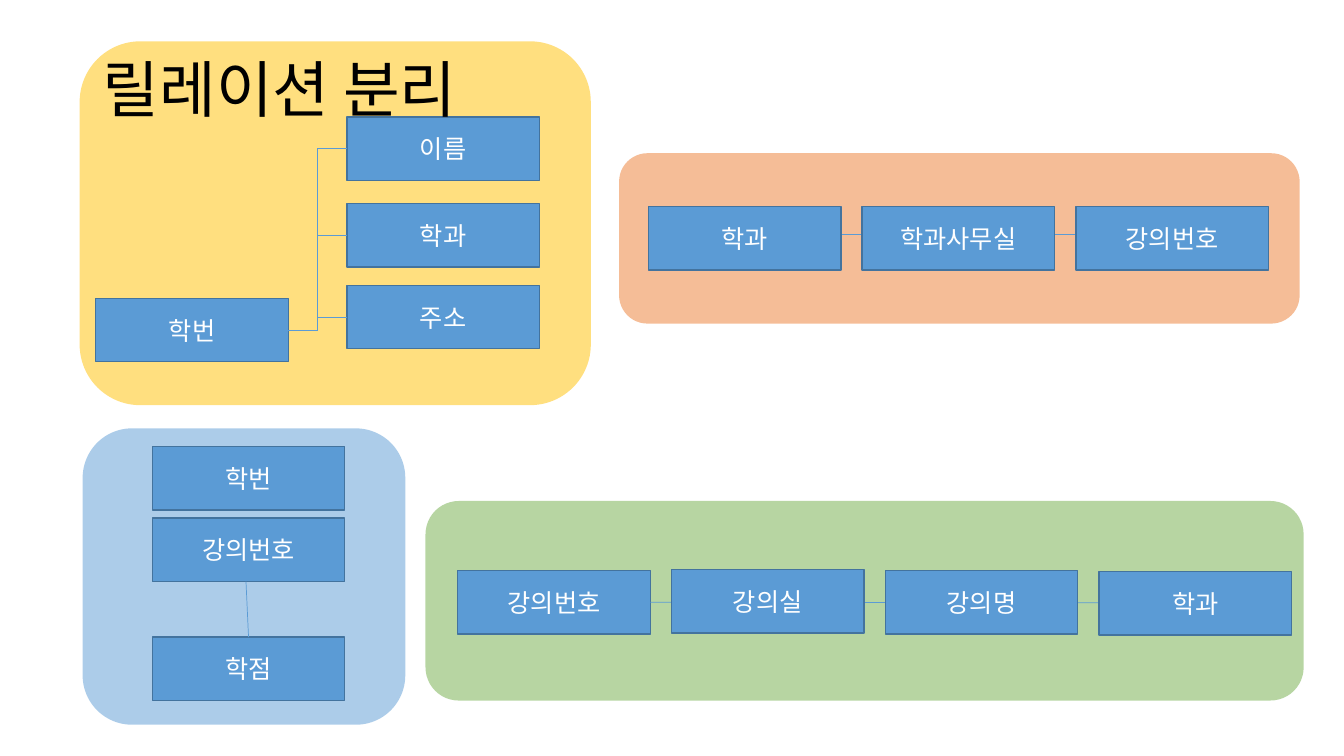
from lxml import etree
from pptx import Presentation
from pptx import util as u
from pptx.dml.color import RGBColor
from pptx.enum import shapes, text
from pptx.oxml.ns import qn

COLORS = {"blue": "5B9BD5", "green": "70AD47", "orange": "ED7D31",
          "yellow": "FFC000", "edge": "43739E", "white": "FFFFFF", "black": "000000"}
FONT = "Noto Sans CJK KR"
BOX_SIZE = (1.91, 0.63)
COLUMN_STEP = 2.12
TOP, LEFT, BOTTOM, RIGHT = 0, 1, 2, 3


def color(name):
    return RGBColor.from_string(COLORS[name])


def write(shape, words, size, ink, align):
    frame = shape.text_frame
    for name, value in {"word_wrap": True,
                        "vertical_anchor": text.MSO_ANCHOR.MIDDLE}.items():
        setattr(frame, name, value)
    para = frame.paragraphs[0]
    para.alignment = align
    span = para.add_run()
    span.text = words
    for name, value in {"size": u.Pt(size), "name": FONT}.items():
        setattr(span.font, name, value)
    span.font.color.rgb = color(ink)
    etree.SubElement(span.font._element, qn("a:ea")).set("typeface", FONT)
    return para


def add_filled(page, kind, bounds, fill):
    shape = page.shapes.add_shape(kind, *map(u.Inches, bounds))
    shape.shadow.inherit = False
    shape.fill.solid()
    shape.fill.fore_color.rgb = color(fill)
    return shape


def add_panel(page, bounds, fill):
    """Add a half-transparent rounded area behind one relation."""
    panel = add_filled(page, shapes.MSO_SHAPE.ROUNDED_RECTANGLE, bounds, fill)
    panel.line.fill.background()
    tint = panel._element.spPr.find(qn("a:solidFill"))[0]
    etree.SubElement(tint, qn("a:alpha")).set("val", "50000")


def add_attribute(page, words, left, top):
    box = add_filled(page, shapes.MSO_SHAPE.RECTANGLE, (left, top, *BOX_SIZE), "blue")
    box.line.color.rgb = color("edge")
    box.line.width = u.Pt(1)
    write(box, words, 18, "white", text.PP_ALIGN.CENTER)
    return box


def add_link(page, start, end, kind=shapes.MSO_CONNECTOR.STRAIGHT):
    link = page.shapes.add_connector(kind, *map(u.Inches, (*start, *end)))
    link.line.color.rgb = color("blue")
    link.line.width = u.Pt(0.5)
    etree.SubElement(link._element.spPr, qn("a:effectLst"))
    return link


def add_student(page):
    key = add_attribute(page, "학번", 0.95, 2.96)
    for words, top in (("주소", 2.83), ("학과", 2.02), ("이름", 1.16)):
        box = add_attribute(page, words, 3.44, top)
        link = add_link(page, (2.86, 3.28), (3.44, top), shapes.MSO_CONNECTOR.ELBOW)
        link.begin_connect(key, RIGHT)
        link.end_connect(box, LEFT)


def add_grade(page):
    for words, top in (("학번", 4.43), ("강의번호", 5.14)):
        add_attribute(page, words, 1.51, top)
    grade = add_attribute(page, "학점", 1.51, 6.32)
    add_link(page, (2.44, 5.77), (2.47, 6.32)).end_connect(grade, TOP)


def add_department(page):
    add_link(page, (6.6, 2.33), (11.52, 2.33))
    for column, words in enumerate(("학과", "학과사무실", "강의번호")):
        add_attribute(page, words, 6.43 + column * COLUMN_STEP, 2.05)


def add_lecture(page):
    left = 4.54
    key = add_attribute(page, "강의번호", left, 5.66)
    add_link(page, (6.45, 5.98), (11.37, 5.98)).begin_connect(key, RIGHT)
    others = (("강의실", 5.65), ("강의명", 5.66), ("학과", 5.67))
    for column, (words, top) in enumerate(others, 1):
        add_attribute(page, words, left + column * COLUMN_STEP, top)


def add_title(page, words):
    box = page.shapes.add_textbox(*map(u.Inches, (0.92, 0.4, 4.14, 1.03)))
    write(box, words, 44, "black", text.PP_ALIGN.LEFT).line_spacing = 0.9


def main():
    deck = Presentation()
    deck.slide_width, deck.slide_height = u.Inches(13.33), u.Inches(7.5)
    page = deck.slides.add_slide(deck.slide_layouts[6])
    for bounds, fill in (((0.82, 4.25, 3.2, 2.94), "blue"),
                         ((4.22, 4.97, 8.71, 1.98), "green"),
                         ((6.14, 1.52, 6.75, 1.69), "orange"),
                         ((0.79, 0.41, 5.07, 3.61), "yellow")):
        add_panel(page, bounds, fill)
    add_student(page)
    add_grade(page)
    add_department(page)
    add_lecture(page)
    add_title(page, "릴레이션 분리")
    deck.save("out.pptx")


if __name__ == "__main__":
    main()
